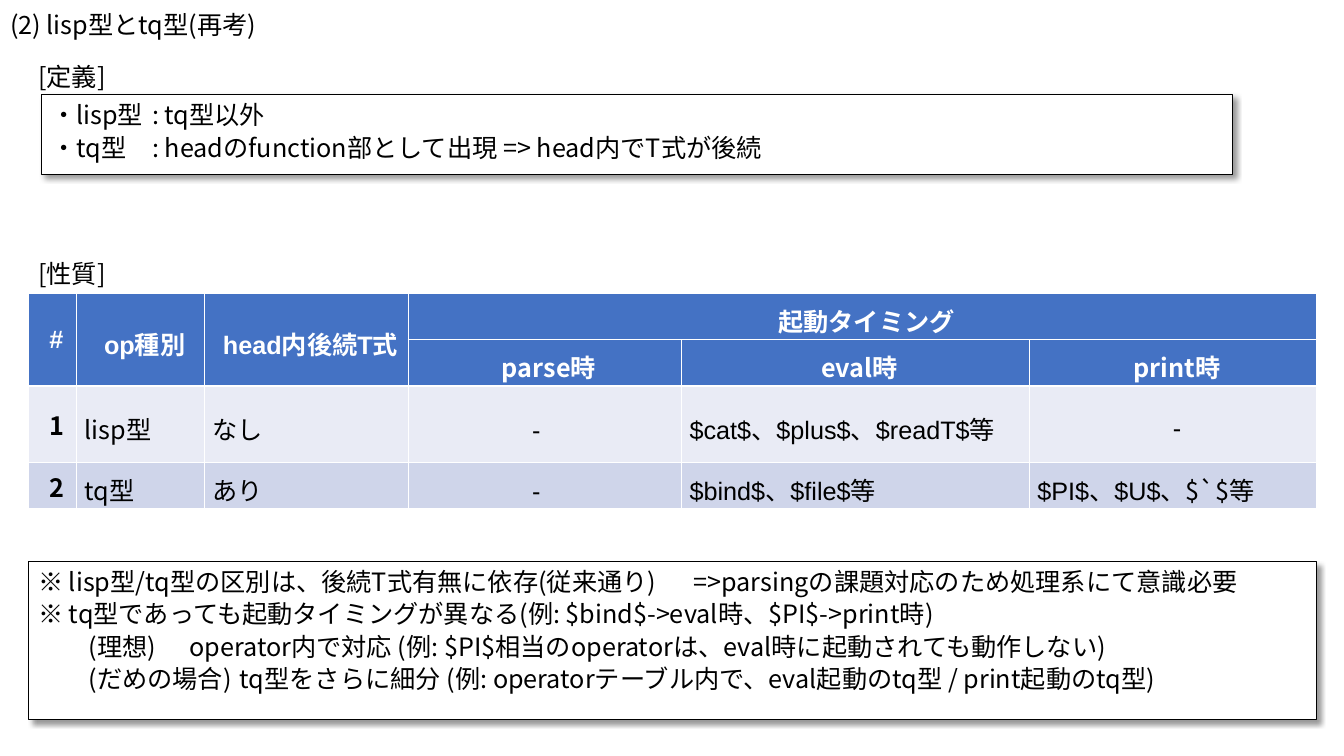
from pptx import Presentation
from pptx import util as u
from pptx.dml.color import RGBColor
from pptx.enum import shapes, text
from pptx.oxml import parse_xml
from pptx.oxml.ns import nsdecls, qn
from lxml import etree

NOTO, ARIAL = "Noto Sans CJK JP", "Arial"
BLACK, WHITE = "000000", "FFFFFF"

# Content
TITLE = "(2) lisp型とtq型(再考)"
HEADS = [("[定義]", 0.56), ("[性質]", 2.51)]
# Each box: place, then lines as (left indent, text)
BOXES = [
    ((0.41, 0.94, 11.81, 0.79), [
        (0, "・lisp型\t: tq型以外"),
        (0, "・tq型\t: headのfunction部として出現 => head内でT式が後続")]),
    ((0.28, 5.57, 12.78, 1.57), [
        (0, "※ lisp型/tq型の区別は、後続T式有無に依存(従来通り)\t=>parsingの課題対応のため処理系にて意識必要"),
        (0, "※ tq型であっても起動タイミングが異なる(例: $bind$->eval時、$PI$->print時)"),
        (0.5, "(理想)\toperator内で対応 (例: $PI$相当のoperatorは、eval時に起動されても動作しない)"),
        (0.5, "(だめの場合)\ttq型をさらに細分 (例: operatorテーブル内で、eval起動のtq型 / print起動のtq型)")]),
]
# Each cell: (Noto text, Arial text), in that order unless listed in SWAP
GRID = [
    [("", "#"), ("", "op種別"), ("", "head内後続T式"), ("", "起動タイミング"), None, None],
    [None, None, None, ("parse", "時"), ("eval", "時"), ("print", "時")],
    [("1", ""), ("lisp", "型"), ("", "なし"), ("", "-\u3000".replace("\u3000", "　")),
     ("", "$cat$、$plus$、$readT$等　"), ("", "-")],
    [("2", ""), ("tq", "型"), ("", "あり"), ("", "-　"),
     ("", "$bind$、$file$等"), ("$`$等　", "$PI$、$U$、")],
]
SWAP = [(3, 5)]
SPANS = [(0, 0, 1, 0), (0, 1, 1, 1), (0, 2, 1, 2), (0, 3, 0, 5)]
COLS = [0.48, 1.27, 2.02, 2.71, 3.45, 2.85]
ROWS = [0.46, 0.46, 0.76, 0.46]
FILLS = ["4472C4", "4472C4", "E9EBF5", "CFD5EA"]


def color(code):
    return RGBColor.from_string(code)


def style(run, face=NOTO, code=BLACK, bold=False):
    font = run.font
    font.size, font.name, font.bold = u.Pt(18), face, bold
    font.color.rgb = color(code)
    east = etree.SubElement(run._r.get_or_add_rPr(), qn("a:ea"))
    east.set("typeface", NOTO)


def write(frame, lines, wrap=True):
    frame.word_wrap = wrap
    frame.vertical_anchor = text.MSO_ANCHOR.TOP
    frame.auto_size = text.MSO_AUTO_SIZE.SHAPE_TO_FIT_TEXT
    frame.margin_left = frame.margin_right = u.Inches(0.1)
    frame.margin_top = frame.margin_bottom = u.Inches(0.05)
    frame.text = "\n".join(line for _, line in lines)
    for i, (para, (left, _)) in enumerate(zip(frame.paragraphs, lines)):
        para.alignment = text.PP_ALIGN.LEFT
        para.space_before = u.Pt(1.5 if i else 0)
        if left:
            para.level = 1
            props = para._p.get_or_add_pPr()
            props.set("marL", str(u.Inches(left)))
            props.set("indent", "0")
        for run in para.runs:
            style(run)


def border(cell):
    props = cell._tc.get_or_add_tcPr()
    for side in ("lnL", "lnR", "lnT", "lnB"):
        props.append(parse_xml(
            f'<a:{side} {nsdecls("a")} w="12700"><a:solidFill>'
            f'<a:srgbClr val="{WHITE}"/></a:solidFill></a:{side}>'))


def shade(shape):
    shape._element.spPr.append(parse_xml(
        f'<a:effectLst {nsdecls("a")}><a:outerShdw blurRad="50800" dist="38100" '
        'dir="2700000" algn="tl" rotWithShape="0"><a:srgbClr val="000000">'
        '<a:alpha val="40000"/></a:srgbClr></a:outerShdw></a:effectLst>'))


deck = Presentation()
deck.slide_width, deck.slide_height = u.Inches(13.33), u.Inches(7.5)
slide = deck.slides.add_slide(deck.slide_layouts[5])

# Title
title = slide.shapes.title
title.left, title.top = u.Inches(0), u.Inches(0.04)
title.width, title.height = u.Inches(3.15), u.Inches(0.4)
write(title.text_frame, [(0, TITLE)], wrap=False)

# Section heads
for label, top in HEADS:
    head = slide.shapes.add_textbox(*map(u.Inches, (0.28, top, 2.51, 0.4)))
    write(head.text_frame, [(0, label)])

# Table
table = slide.shapes.add_table(len(ROWS), len(COLS), *map(
    u.Inches, (0.28, 2.91, sum(COLS), sum(ROWS)))).table
for col, width in zip(table.columns, COLS):
    col.width = u.Inches(width)
for row, height in zip(table.rows, ROWS):
    row.height = u.Inches(height)
for r1, c1, r2, c2 in SPANS:
    table.cell(r1, c1).merge(table.cell(r2, c2))
for r, line in enumerate(GRID):
    for c, parts in enumerate(line):
        cell = table.cell(r, c)
        border(cell)
        cell.fill.solid()
        cell.fill.fore_color.rgb = color(FILLS[r])
        if parts is None:
            continue
        cell.vertical_anchor = text.MSO_ANCHOR.MIDDLE
        cell.margin_left = u.Inches(0.08)
        cell.margin_top = u.Inches(0.08 if c else 0.01)
        cell.margin_right = cell.margin_bottom = 0
        para = cell.text_frame.paragraphs[0]
        mid = r < 2 or c in (0, 3) or parts[1] == "-"
        para.alignment = text.PP_ALIGN.CENTER if mid else text.PP_ALIGN.LEFT
        pairs = list(zip(parts, (NOTO, ARIAL)))
        if (r, c) in SWAP:
            pairs.reverse()
        for words, face in pairs:
            if words:
                run = para.add_run()
                run.text = words
                style(run, face, WHITE if r < 2 else BLACK, r < 2 or c == 0)

# Framed notes
for place, lines in BOXES:
    box = slide.shapes.add_shape(shapes.MSO_SHAPE.RECTANGLE, *map(u.Inches, place))
    box.fill.solid()
    box.fill.fore_color.rgb = color(WHITE)
    box.line.color.rgb = color(BLACK)
    box.line.width = u.Pt(0.75)
    shade(box)
    write(box.text_frame, lines)

deck.save("out.pptx")
